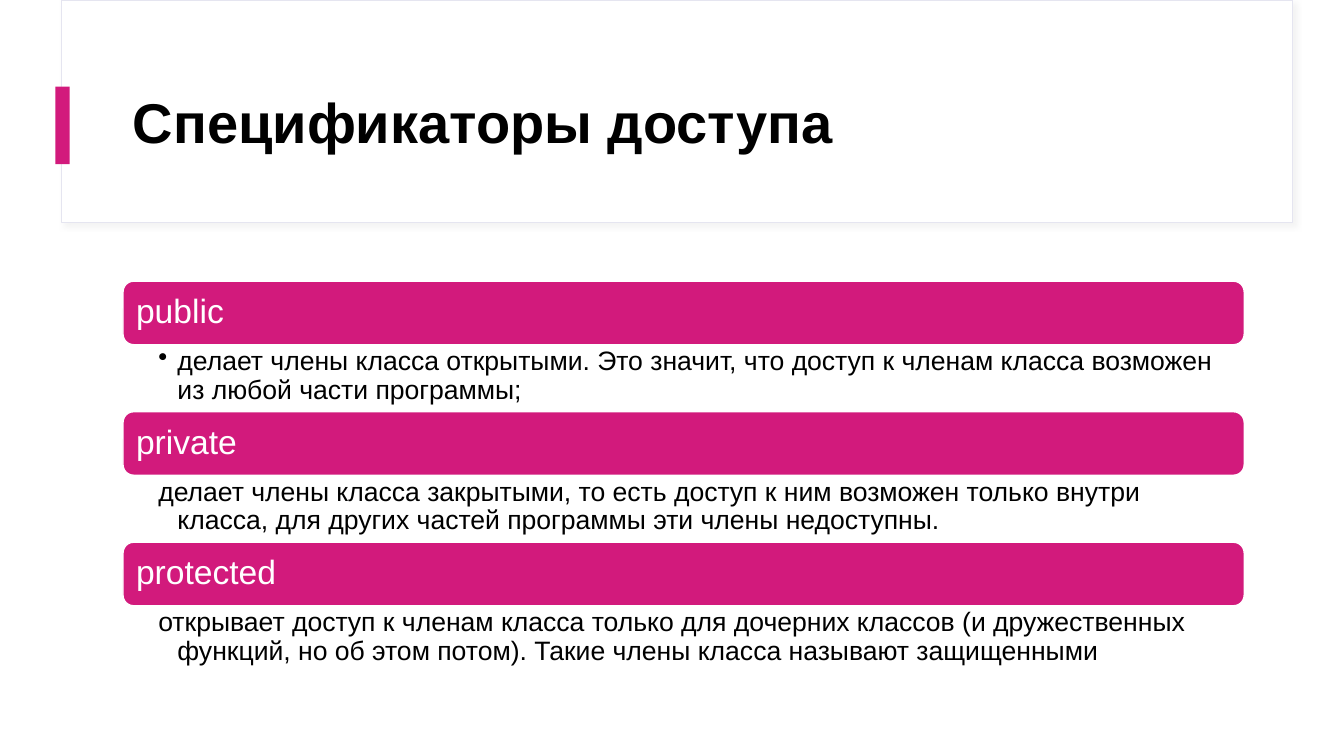
from dataclasses import dataclass

from lxml import etree
from pptx import Presentation
from pptx.dml.color import RGBColor
from pptx.enum.shapes import MSO_SHAPE
from pptx.enum.text import MSO_ANCHOR
from pptx.oxml.ns import qn
from pptx.util import Inches, Pt

RECT = MSO_SHAPE.RECTANGLE
ROUND = MSO_SHAPE.ROUNDED_RECTANGLE
MIDDLE = MSO_ANCHOR.MIDDLE
TOP = MSO_ANCHOR.TOP


@dataclass(frozen=True)
class Theme:
    """Colours, font and type sizes of the slide."""
    accent: str = "D21A7C"
    paper: str = "FFFFFF"
    ink: str = "000000"
    edge: str = "E5E5F0"
    shade: str = "D9D9D9"
    font: str = "Arial"
    title: int = 40
    head: int = 24
    body: int = 19


THEME = Theme()
TITLE = "Спецификаторы доступа"
ITEMS = [
    ("public", "делает члены класса открытыми. Это значит, что доступ к членам "
     "класса возможен из любой части программы;", True),
    ("private", "делает члены класса закрытыми, то есть доступ к ним возможен "
     "только внутри класса, для других частей программы эти члены недоступны.", False),
    ("protected", "открывает доступ к членам класса только для дочерних классов "
     "(и дружественных функций, но об этом потом). Такие члены класса называют "
     "защищенными", False),
]


def add_block(slide, kind, box, fill, line=None, width=1):
    """Add a filled shape without shadow."""
    block = slide.shapes.add_shape(kind, *map(Inches, box))
    block.shadow.inherit = False
    block.fill.solid()
    block.fill.fore_color.rgb = RGBColor.from_string(fill)
    if line:
        block.line.color.rgb = RGBColor.from_string(line)
        block.line.width = Pt(width)
    else:
        block.line.fill.background()
    return block


def add_shade(block):
    """Give a shape a soft outer shadow."""
    effect = block.element.spPr.find(qn("a:effectLst"))
    outer = etree.SubElement(effect, qn("a:outerShdw"), blurRad=str(Pt(4)),
                             dist=str(Pt(3)), dir="2700000", algn="tl")
    tint = etree.SubElement(outer, qn("a:srgbClr"), val=THEME.shade)
    etree.SubElement(tint, qn("a:alpha"), val="30000")


def write(shape, text, size, color, insets, anchor=MIDDLE, bold=False):
    """Write one paragraph into a shape and return it."""
    frame = shape.text_frame
    frame.word_wrap = True
    frame.vertical_anchor = anchor
    (frame.margin_left, frame.margin_top,
     frame.margin_right, frame.margin_bottom) = map(Inches, insets)
    para = frame.paragraphs[0]
    para.line_spacing = 0.9
    run = para.add_run()
    run.text = text
    run.font.name = THEME.font
    run.font.size = Pt(size)
    run.font.bold = bold
    run.font.color.rgb = RGBColor.from_string(color)
    return para


def add_head(slide, left, top, width, height):
    """Draw the title panel with its accent mark."""
    panel = add_block(slide, RECT, (left, top, width, height),
                      THEME.paper, THEME.edge, 0.75)
    add_shade(panel)
    add_block(slide, RECT, (left - 0.06, top + 0.86, 0.14, 0.77), THEME.accent)
    label = slide.shapes.add_textbox(
        *map(Inches, (left + 0.61, top + 0.6, width - 1.09, 1.29)))
    write(label, TITLE, THEME.title, THEME.ink, (0.1, 0.05, 0.1, 0.05), bold=True)


def add_item(slide, left, top, width, item):
    """Draw one heading bar with its description below."""
    name, text, dot = item
    bar_high = 0.63
    bar = add_block(slide, ROUND, (left, top, width, bar_high),
                    THEME.accent, THEME.paper)
    para = write(bar, name, THEME.head, THEME.paper, (0.1, 0.1, 0.1, 0.1))
    para.alignment = 1
    note = slide.shapes.add_textbox(
        *map(Inches, (left, top + bar_high, width, 0.67)))
    para = write(note, text, THEME.body, THEME.ink, (0.35, 0.03, 0.19, 0.03), TOP)
    props = para._p.get_or_add_pPr()
    props.set("marL", str(Inches(0.19)))
    props.set("indent", str(-Inches(0.19)))
    if dot:
        etree.SubElement(props, qn("a:buChar"), char="•")
    else:
        etree.SubElement(props, qn("a:buNone"))


def add_list(slide, left, top, width, step):
    """Stack the items at equal steps."""
    for row, item in enumerate(ITEMS):
        add_item(slide, left, top + row * step, width, item)


def main():
    """Build and save the slide."""
    deck = Presentation()
    deck.slide_width = Inches(13.33)
    deck.slide_height = Inches(7.5)
    slide = deck.slides.add_slide(deck.slide_layouts[6])
    add_head(slide, 0.61, 0, 12.21, 2.21)
    add_list(slide, 1.22, 2.79, 11.12, 1.295)
    deck.save("out.pptx")


if __name__ == "__main__":
    main()
